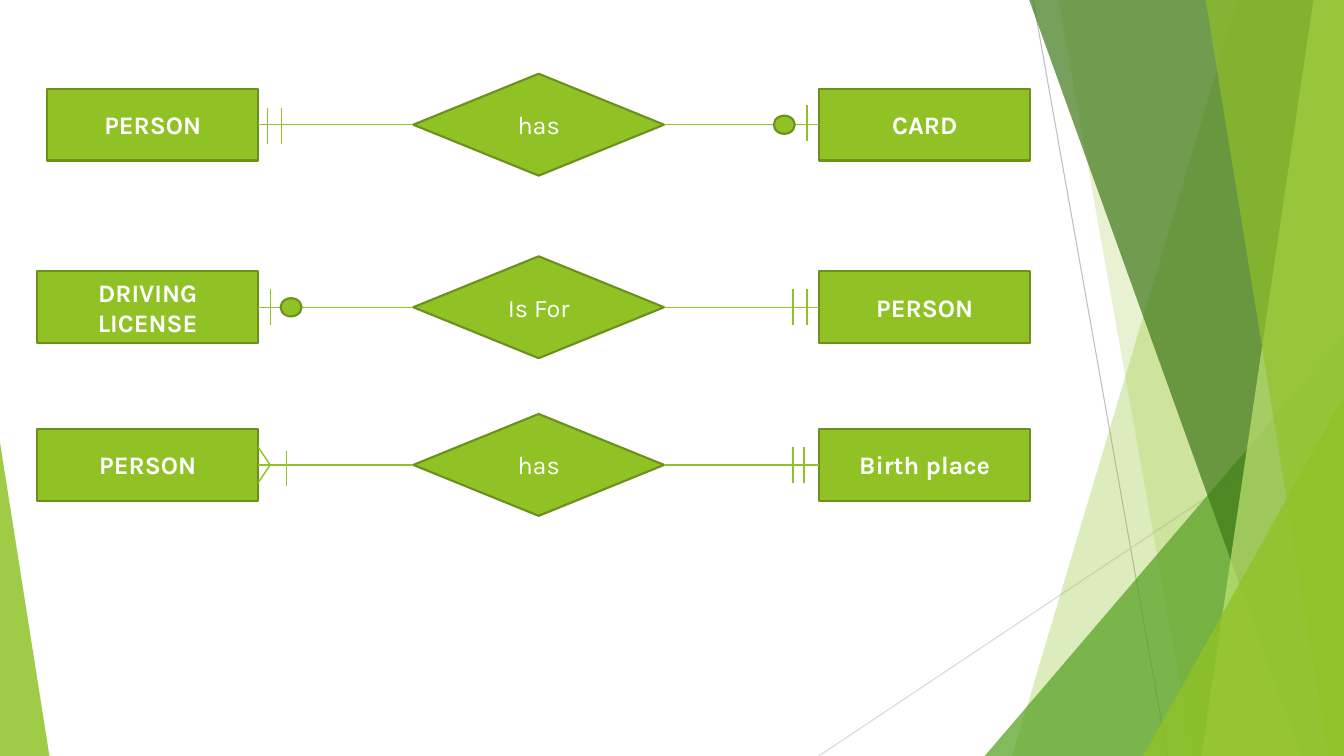
import pptx
import pptx.dml.color
import pptx.enum.shapes
import pptx.enum.text
import pptx.oxml.ns
import pptx.util
import lxml.etree

Pt = pptx.util.Pt
RGB = pptx.dml.color.RGBColor
KIND = pptx.enum.shapes.MSO_SHAPE
qn = pptx.oxml.ns.qn

GREEN = RGB(0x90, 0xC2, 0x26)
EDGE = RGB(0x6B, 0x90, 0x1C)
LEAF = RGB(0x54, 0xA0, 0x21)
DARK = RGB(0x3F, 0x78, 0x19)
PALE = RGB(0xC0, 0xE4, 0x74)
GREY = RGB(0xBF, 0xBF, 0xBF)
MIST = RGB(0xD9, 0xD9, 0xD9)
WHITE = RGB(0xFF, 0xFF, 0xFF)

WIDE, HIGH = 960, 540
FONT = "Karla"
BAR = 25.5          # height of a cardinality bar
BOX_H = 51.2        # height of an entity box
LEFT_END = 184.4    # right edge of the left entities

# A mark is (kind, distance from its entity, shift down).
ROWS = [
    {"box": (33.8, 52.7, 702, 72.8), "names": ("PERSON", "has", "CARD"),
     "left": [("bar", 6.5, 0.7), ("bar", 16.5, 1)],
     "right": [("ring", 25, 0), ("bar", 8.7, -1)]},
    {"box": (26.6, 183.1, 709.2, 72.8),
     "names": ("DRIVING LICENSE", "Is For", "PERSON"),
     "left": [("bar", 8.7, 0), ("ring", 23.5, 0)],
     "right": [("bar", 18.8, 0), ("bar", 8.7, 0)]},
    {"box": (26.6, 295.7, 709.2, 72.8),
     "names": ("PERSON", "has", "Birth place"),
     "left": [("bar", 20.2, 2.5), ("fork", 8.6, 0)],
     "right": [("bar", 18.8, 0), ("bar", 10.8, 0)]},
]


def add_line(shapes, start, end, color=GREEN, width=1):
    line = shapes.add_connector(
        pptx.enum.shapes.MSO_CONNECTOR.STRAIGHT,
        *(Pt(v) for v in (*start, *end)))
    line.line.color.rgb = color
    line.line.width = Pt(width)
    props = line._element.find(qn("p:spPr"))
    lxml.etree.SubElement(props, qn("a:effectLst"))
    return line


def add_node(shapes, kind, box, text="", bold=False):
    node = shapes.add_shape(kind, *(Pt(v) for v in box))
    node.shadow.inherit = False
    node.fill.solid()
    node.fill.fore_color.rgb = GREEN
    node.line.color.rgb = EDGE
    node.line.width = Pt(1.5)
    if text:
        frame = node.text_frame
        frame.word_wrap = True
        frame.vertical_anchor = pptx.enum.text.MSO_ANCHOR.MIDDLE
        para = frame.paragraphs[0]
        para.alignment = pptx.enum.text.PP_ALIGN.CENTER
        run = para.add_run()
        run.text = text
        run.font.name = FONT
        run.font.size = Pt(18)
        run.font.bold = bold
        run.font.color.rgb = WHITE
    return node


def add_mark(shapes, kind, edge, x, y):
    """Draw one cardinality mark centred at x, y; a fork opens to edge."""
    half = BAR / 2
    if kind == "bar":
        add_line(shapes, (x, y - half), (x, y + half))
    elif kind == "ring":
        add_node(shapes, KIND.OVAL, (x - 7.5, y - 6.5, 15, 13))
    else:
        for side in (-half, half):
            add_line(shapes, (x, y), (edge, y + side))


def add_row(shapes, row):
    """Draw entity, relation and entity, joined, inside the row's box."""
    left, top, width, high = row["box"]
    first, verb, last = row["names"]
    mid = top + high / 2
    right = left + width - 150.6
    box_top = mid - BOX_H / 2
    one = add_node(shapes, KIND.RECTANGLE,
                   (left, box_top, LEFT_END - left, BOX_H), first, True)
    two = add_node(shapes, KIND.RECTANGLE,
                   (right, box_top, 150.6, BOX_H), last, True)
    link = add_node(shapes, KIND.FLOWCHART_DECISION,
                    (295.2, top, 179.2, high), verb)
    for start, end in ((link, one), (two, link)):
        line = add_line(shapes, (0, mid), (1, mid))
        line.begin_connect(start, 1)
        line.end_connect(end, 3)
    for side, edge, sign in (("left", LEFT_END, 1), ("right", right, -1)):
        for kind, gap, shift in row[side]:
            add_mark(shapes, kind, edge, edge + sign * gap, mid + shift)


def tint(shape, color, alpha):
    """Fill without outline; alpha is opacity in percent."""
    shape.shadow.inherit = False
    shape.fill.solid()
    shape.fill.fore_color.rgb = color
    shape.line.fill.background()
    tone = shape._element.spPr.find(qn("a:solidFill"))[0]
    lxml.etree.SubElement(tone, qn("a:alpha"), val=str(alpha * 1000))


def add_blade(shapes, top, foot, color, alpha):
    """Draw a band from the slanted edge top-foot to the right side."""
    form = shapes.build_freeform(Pt(top), 0, scale=1.0)
    form.add_line_segments([(Pt(WIDE), 0), (Pt(WIDE), Pt(HIGH)),
                            (Pt(foot), Pt(HIGH))], close=True)
    tint(form.convert_to_shape(), color, alpha)


def add_wedge(shapes, left, top, width, peak, color, alpha):
    wedge = shapes.add_shape(KIND.ISOSCELES_TRIANGLE, Pt(left), Pt(top),
                             Pt(width), Pt(HIGH - top))
    wedge.adjustments[0] = peak
    tint(wedge, color, alpha)


def add_decor(shapes):
    add_line(shapes, (738, 0), (834, HIGH), GREY, 0.75)
    add_line(shapes, (WIDE, 290), (584.8, HIGH), MIST, 0.75)
    add_blade(shapes, 884, 723, GREEN, 30)
    add_blade(shapes, 756, 852, GREEN, 20)
    add_wedge(shapes, 703.4, 240, 256.6, 1, LEAF, 72)
    add_blade(shapes, 735.2, 929.6, DARK, 70)
    add_blade(shapes, 938.2, 858.2, PALE, 70)
    add_blade(shapes, 861.2, 949, GREEN, 65)
    add_wedge(shapes, 816.6, 283, 143.4, 1, GREEN, 80)
    add_wedge(shapes, 0, 316, 35.3, 0, GREEN, 85)


def main():
    deck = pptx.Presentation()
    deck.slide_width, deck.slide_height = Pt(WIDE), Pt(HIGH)
    slide = deck.slides.add_slide(deck.slide_layouts[6])
    add_decor(slide.shapes)
    for row in ROWS:
        add_row(slide.shapes, row)
    deck.save("out.pptx")


if __name__ == "__main__":
    main()
